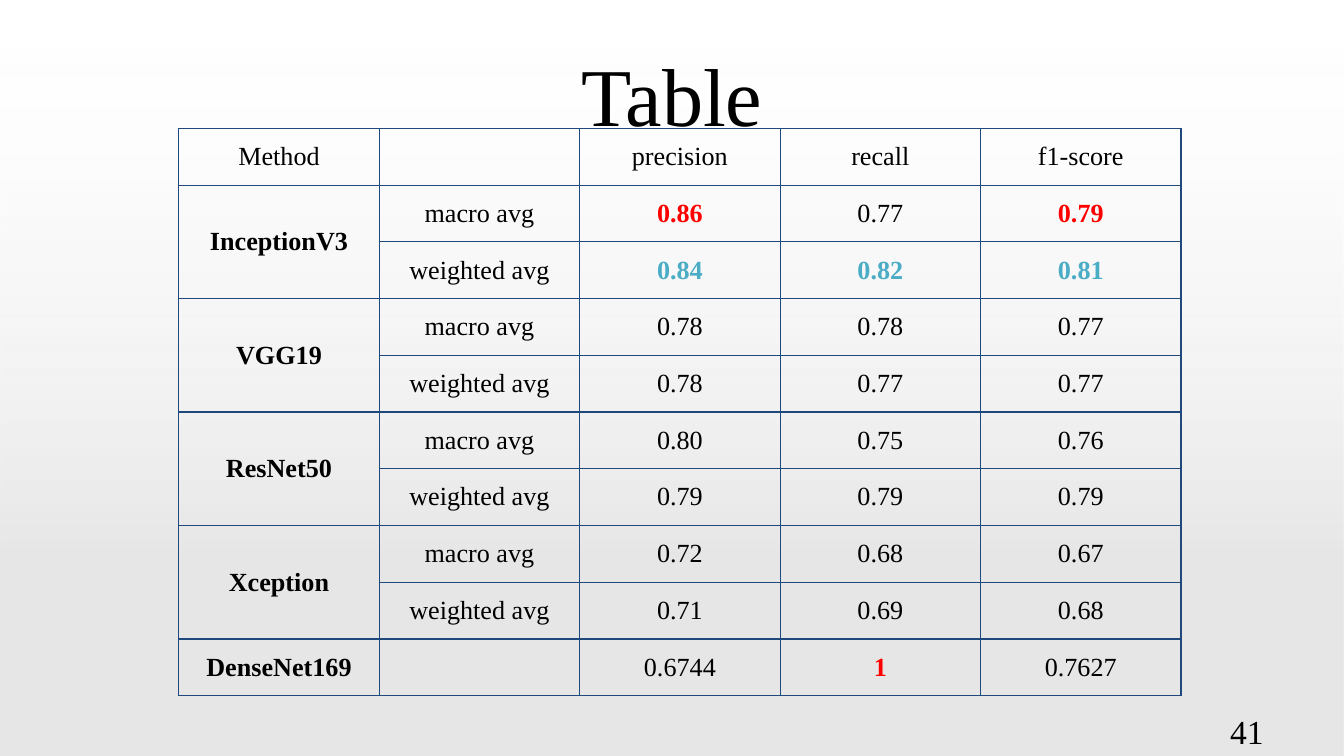
from lxml import etree
from pptx import Presentation
from pptx.dml.color import RGBColor
from pptx.enum.shapes import MSO_SHAPE
from pptx.enum.text import MSO_ANCHOR, PP_ALIGN
from pptx.oxml import parse_xml
from pptx.oxml.ns import nsdecls, qn
from pptx.util import Pt

RECTANGLE = MSO_SHAPE.RECTANGLE
TOP, MIDDLE = MSO_ANCHOR.TOP, MSO_ANCHOR.MIDDLE
CENTER, RIGHT = PP_ALIGN.CENTER, PP_ALIGN.RIGHT
FONT = "Times New Roman"
BLACK, RED, TEAL, NAVY = "000000", "FF0000", "4BACC6", "1F497D"
SLIDE_WIDTH, SLIDE_HEIGHT = 720, 405

HEADINGS = ["Method", "", "precision", "recall", "f1-score"]
SCORES = [
    ("InceptionV3", ["0.86", "0.77", "0.79"], ["0.84", "0.82", "0.81"]),
    ("VGG19", ["0.78", "0.78", "0.77"], ["0.78", "0.77", "0.77"]),
    ("ResNet50", ["0.80", "0.75", "0.76"], ["0.79", "0.79", "0.79"]),
    ("Xception", ["0.72", "0.68", "0.67"], ["0.71", "0.69", "0.68"]),
]
LAST_ROW = ["DenseNet169", "", "0.6744", "1", "0.7627"]
HIGHLIGHTS = {(1, 2): RED, (1, 4): RED, (2, 2): TEAL, (2, 3): TEAL,
              (2, 4): TEAL, (9, 3): RED}


def rgb(value):
    return RGBColor.from_string(value)


def write(frame, text, size, align, color=BLACK, bold=False):
    frame.text = text
    paragraph = frame.paragraphs[0]
    paragraph.alignment = align
    for run in paragraph.runs:
        run.font.name = FONT
        run.font.size = Pt(size)
        run.font.bold = bold
        run.font.color.rgb = rgb(color)


def add_backdrop(slide, left, top, width, height):
    backdrop = slide.shapes.add_shape(RECTANGLE, Pt(left), Pt(top), Pt(width), Pt(height))
    backdrop.shadow.inherit = False
    backdrop.line.fill.background()
    backdrop.fill.gradient()
    backdrop.fill.gradient_angle = 270
    stops = backdrop._element.spPr.find(qn("a:gradFill")).find(qn("a:gsLst"))
    for stop in list(stops):
        stops.remove(stop)
    for position, color, alpha in [(0, "F2F2F2", 0), (74, "7F7F7F", 19), (100, "7F7F7F", 19)]:
        stops.append(parse_xml(
            f'<a:gs {nsdecls("a")} pos="{position * 1000}"><a:srgbClr val="{color}">'
            f'<a:alpha val="{alpha * 1000}"/></a:srgbClr></a:gs>'))


def add_label(slide, text, size, align, anchor, left, top, width, height):
    label = slide.shapes.add_textbox(Pt(left), Pt(top), Pt(width), Pt(height))
    label.text_frame.word_wrap = True
    label.text_frame.vertical_anchor = anchor
    write(label.text_frame, text, size, align)


def add_borders(cell):
    properties = cell._tc.get_or_add_tcPr()
    for side in ("lnL", "lnR", "lnT", "lnB"):
        border = etree.SubElement(properties, qn(f"a:{side}"), w=str(Pt(0.75)))
        fill = etree.SubElement(border, qn("a:solidFill"))
        etree.SubElement(fill, qn("a:srgbClr"), val=NAVY)


def add_score_table(slide, left, top, width, height):
    rows = [HEADINGS]
    for method, macro, weighted in SCORES:
        rows.append([method, "macro avg", *macro])
        rows.append(["", "weighted avg", *weighted])
    rows.append(LAST_ROW)

    table = slide.shapes.add_table(
        len(rows), len(HEADINGS), Pt(left), Pt(top), Pt(width), Pt(height)).table
    table.first_row = False
    table.horz_banding = False
    for column in table.columns:
        column.width = Pt(width / len(HEADINGS))
    for r, row in enumerate(rows):
        table.rows[r].height = Pt(height / len(rows))
        for c, text in enumerate(row):
            cell = table.cell(r, c)
            highlight = HIGHLIGHTS.get((r, c))
            is_method = r > 0 and c == 0
            write(cell.text_frame, text, 14, CENTER, highlight or BLACK,
                  is_method or highlight is not None)
            cell.vertical_anchor = MIDDLE
            cell.margin_left = cell.margin_right = Pt(7.2)
            cell.margin_top = cell.margin_bottom = Pt(6.8 if text else 0)
            add_borders(cell)
            cell.fill.background()
    for group in range(len(SCORES)):
        first = 1 + 2 * group
        table.cell(first, 0).merge(table.cell(first + 1, 0))


def main():
    deck = Presentation()
    deck.slide_width, deck.slide_height = Pt(SLIDE_WIDTH), Pt(SLIDE_HEIGHT)
    slide = deck.slides.add_slide(deck.slide_layouts[6])
    add_backdrop(slide, 0, 0, SLIDE_WIDTH, SLIDE_HEIGHT)
    add_label(slide, "Table", 44, CENTER, MIDDLE, 36, 16.5, 648, 67.5)
    add_score_table(slide, 95.8, 68.8, 537, 299)
    add_label(slide, "41", 18, RIGHT, TOP, 516, 377.5, 168, 21.6)
    deck.save("out.pptx")


if __name__ == "__main__":
    main()
